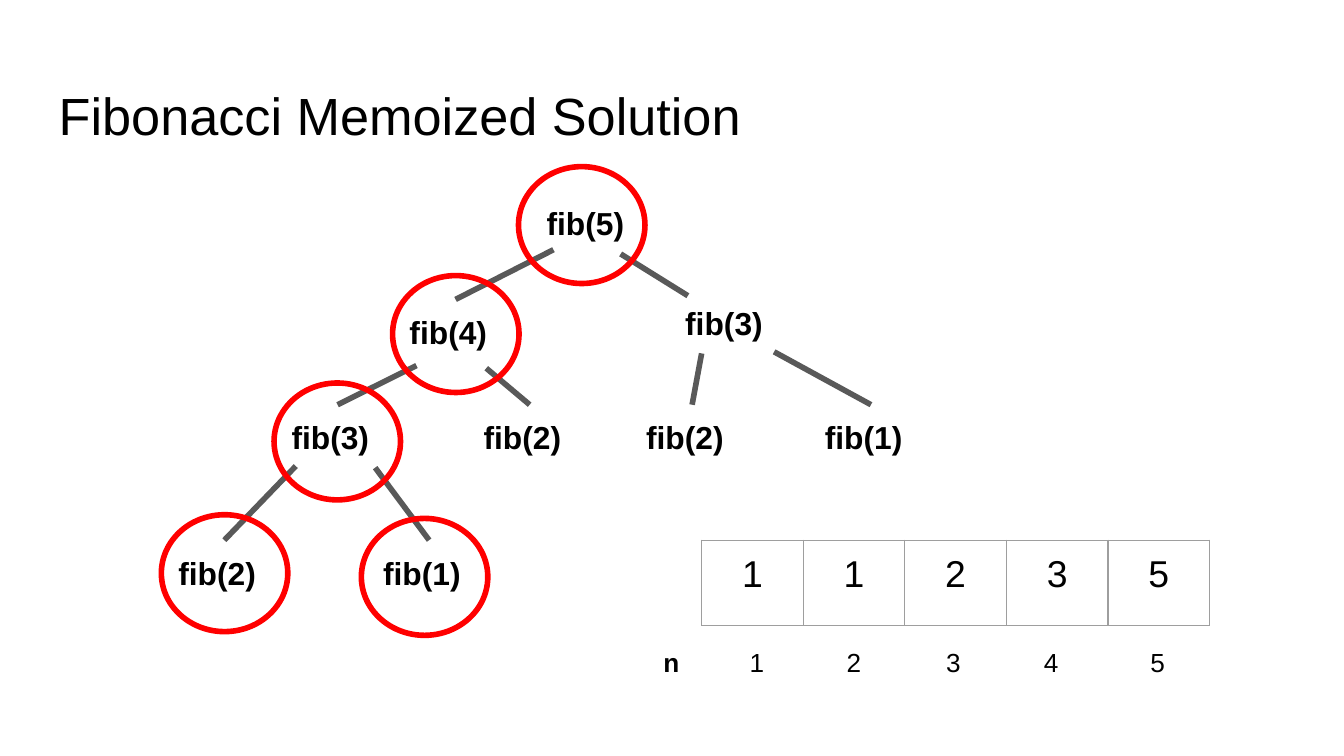
from lxml import etree
from pptx import Presentation
from pptx.dml.color import RGBColor
from pptx.enum import shapes, text
from pptx.oxml import ns
from pptx.util import Cm, Pt

BLACK = RGBColor(0x00, 0x00, 0x00)
GREY = RGBColor(0x59, 0x59, 0x59)
RED = RGBColor(0xFF, 0x00, 0x00)
EDGE = RGBColor(0x9E, 0x9E, 0x9E)


def style(frame, words, size, bold=False, align=text.PP_ALIGN.LEFT):
    frame.text = words
    para = frame.paragraphs[0]
    para.alignment = align
    para.font.name = "Arial"
    para.font.size = Pt(size)
    para.font.bold = bold
    para.font.color.rgb = BLACK


def label(x, y, w, h, words, size, bold):
    box = slide.shapes.add_textbox(Cm(x), Cm(y), Cm(w), Cm(h))
    frame = box.text_frame
    frame.word_wrap = True
    frame.margin_left = frame.margin_right = Cm(0.25)
    frame.margin_top = frame.margin_bottom = Cm(0.25)
    style(frame, words, size, bold)
    return box


deck = Presentation()
deck.slide_width, deck.slide_height = Cm(25.4), Cm(14.29)
slide = deck.slides.add_slide(deck.slide_layouts[5])

# Title
title = slide.shapes.title
title.left, title.top = Cm(0.86), Cm(1.24)
title.width, title.height = Cm(23.67), Cm(1.6)
frame = title.text_frame
frame.auto_size = text.MSO_AUTO_SIZE.NONE
frame.vertical_anchor = text.MSO_ANCHOR.TOP
frame.margin_left = frame.margin_right = Cm(0.25)
frame.margin_top = Cm(0.33)
style(frame, "Fibonacci Memoized Solution", 28)

# Calls in the tree: key, argument, left, top
calls = [
    ("root", 5, 10.08, 3.61),
    ("L", 4, 7.49, 5.66),
    ("R", 3, 12.7, 5.49),
    ("LL", 3, 5.26, 7.65),
    ("LR", 2, 8.89, 7.65),
    ("LLL", 2, 3.12, 10.21),
    ("LLR", 1, 6.99, 10.21),
    ("RL", 2, 11.96, 7.65),
    ("RR", 1, 15.34, 7.65),
]
nodes = {key: label(x, y, 2.24, 1.3, f"fib({n})", 17, True)
         for key, n, x, y in calls}

# Branches: child, start; each ends at the top of its child
branches = [
    ("L", 10.46, 4.72),
    ("R", 11.73, 4.8),
    ("LL", 7.87, 6.91),
    ("LR", 9.19, 6.96),
    ("LLL", 5.59, 8.81),
    ("LLR", 7.09, 8.84),
    ("RL", 13.26, 6.68),
    ("RR", 14.63, 6.65),
]
for key, x, y in branches:
    line = slide.shapes.add_connector(
        shapes.MSO_CONNECTOR.STRAIGHT, Cm(x), Cm(y), Cm(13), Cm(5.59))
    if key != "R":  # this one stops beside its label
        line.end_connect(nodes[key], 0)
    line.line.color.rgb = GREY
    line.line.width = Pt(3)
    etree.SubElement(line._element.spPr, ns.qn("a:effectLst"))

# Rings around the computed calls
for x, y in [(3.05, 9.73), (5.18, 7.24), (6.83, 9.8), (7.42, 5.21), (9.8, 3.15)]:
    ring = slide.shapes.add_shape(
        shapes.MSO_SHAPE.OVAL, Cm(x), Cm(y), Cm(2.39), Cm(2.21))
    ring.shadow.inherit = False
    ring.fill.background()
    ring.line.color.rgb = RED
    ring.line.width = Pt(3)

# Memo table
memo = slide.shapes.add_table(
    1, 5, Cm(13.26), Cm(10.21), Cm(9.6), Cm(1.62)).table
memo.first_row = memo.horz_banding = False
for cell, value in zip(memo.iter_cells(), "11235"):
    cell.margin_left = cell.margin_right = Cm(0.25)
    cell.margin_top = cell.margin_bottom = Cm(0.25)
    style(cell.text_frame, value, 20, align=text.PP_ALIGN.CENTER)
    props = cell._tc.get_or_add_tcPr()
    for side in ("lnL", "lnR", "lnT", "lnB"):
        edge = etree.SubElement(props, ns.qn(f"a:{side}"), w=str(Pt(0.75)))
        fill = etree.SubElement(edge, ns.qn("a:solidFill"))
        etree.SubElement(fill, ns.qn("a:srgbClr"), val=str(EDGE))
    cell.fill.background()

# Index row under the table
for x, words in zip((12.29, 13.92, 15.75, 17.63, 19.48, 21.49), "n12345"):
    label(x, 11.96, 0.79, 0.94, words, 14, words == "n")

deck.save("out.pptx")
